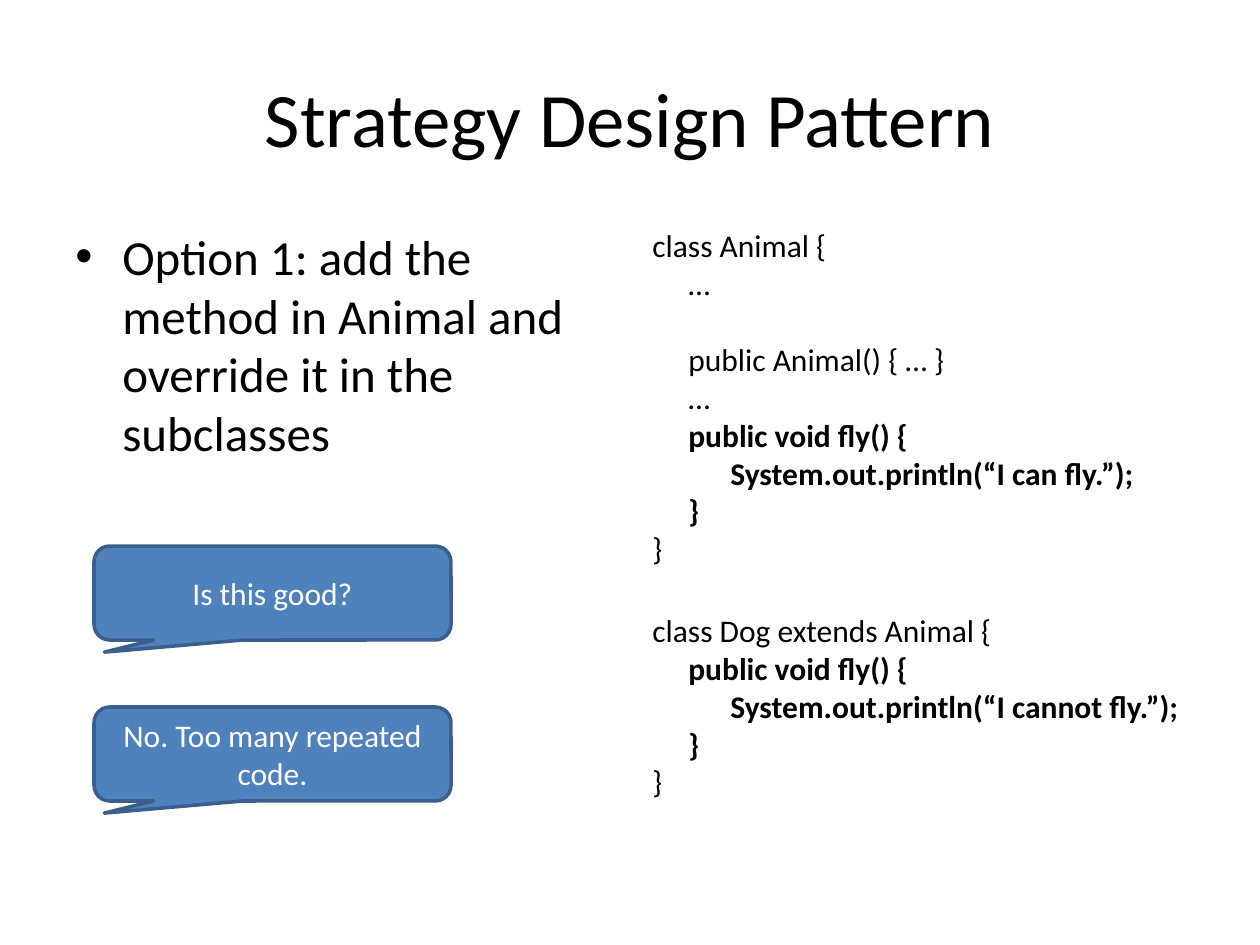
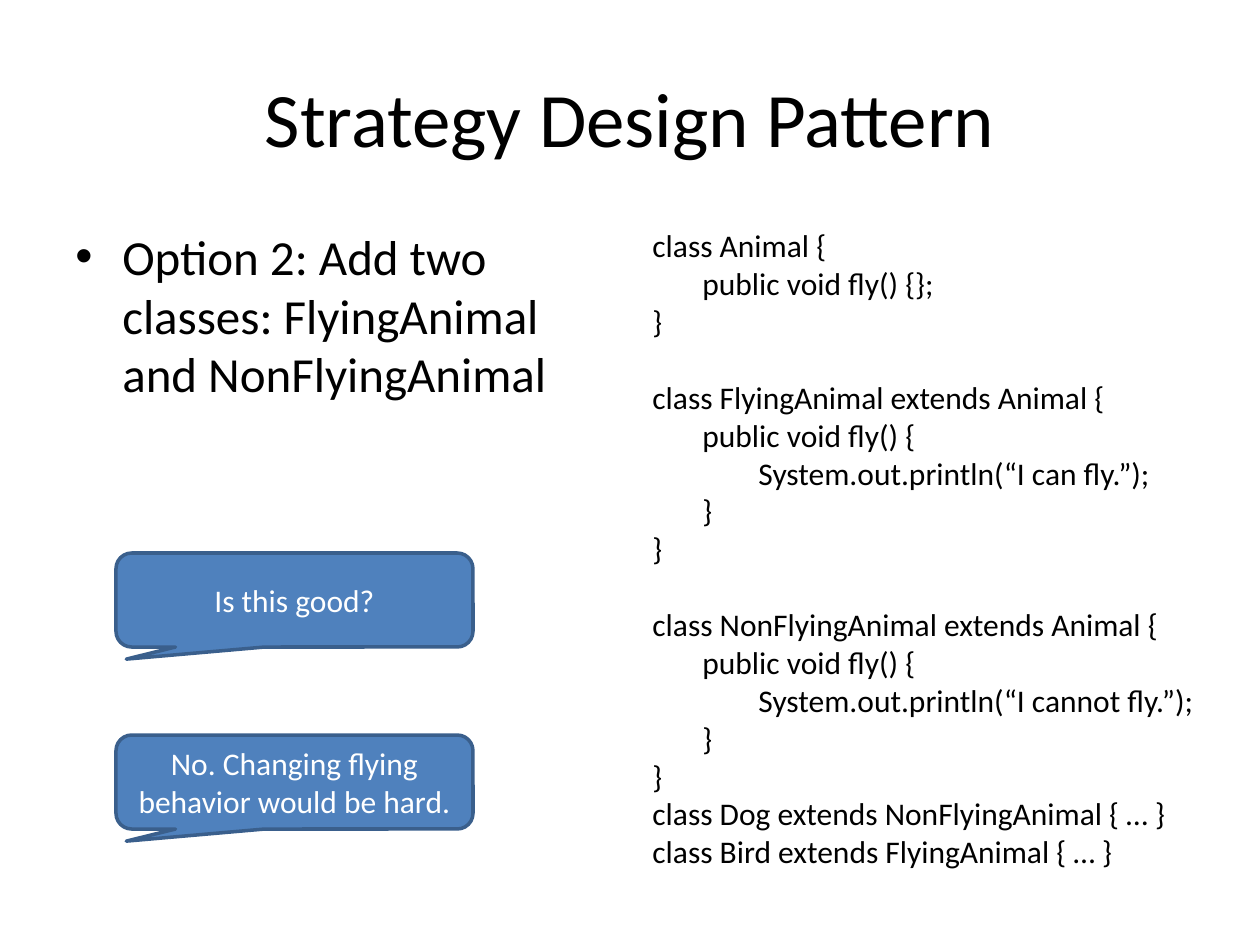
from pptx import Presentation
from pptx import util as u
from pptx.dml.color import RGBColor
from pptx.enum import shapes, text
from pptx.oxml.ns import qn
from lxml import etree

# Shared look
EMU_PER_PX = 914400 / 126
FONT = "Calibri"
BLACK, WHITE = "000000", "FFFFFF"
CALLOUT_FILL, CALLOUT_LINE = "4F81BD", "3A5F8C"
CODE_SIZE = 18
BLANK_LINE = 21.95  # height of one code line, in points
CODE_LEFT, CODE_TOP = 640, 220


def px(value):
    return u.Emu(round(value * EMU_PER_PX))


def color(hex_string):
    return RGBColor.from_string(hex_string)


def write(paragraph, content, size=CODE_SIZE, ink=BLACK, bold=False,
          align=text.PP_ALIGN.LEFT, before=0, indent=0, bullet=None):
    """Fill one paragraph; a bullet hangs to the left of the indent."""
    paragraph.alignment = align
    paragraph.space_before = u.Pt(before)
    run = paragraph.add_run()
    run.text = content
    run.font.name = FONT
    run.font.size = u.Pt(size)
    run.font.bold = bold
    run.font.color.rgb = color(ink)
    properties = paragraph._p.get_or_add_pPr()
    properties.set("marL", str(px(indent)))
    if bullet:
        properties.set("indent", str(-px(indent)))
        etree.SubElement(properties, qn("a:buFont")).set("typeface", "Arial")
        etree.SubElement(properties, qn("a:buChar")).set("char", bullet)


def text_frame(slide, left, top, width, height, anchor=text.MSO_ANCHOR.TOP):
    box = slide.shapes.add_textbox(px(left), px(top), px(width), px(height))
    frame = box.text_frame
    frame.word_wrap = True
    frame.vertical_anchor = anchor
    return frame


def add_heading(slide):
    frame = text_frame(slide, 63, 38, 1134, 157, text.MSO_ANCHOR.MIDDLE)
    write(frame.paragraphs[0], "Strategy Design Pattern", size=44,
          align=text.PP_ALIGN.CENTER)


def add_option(slide, option):
    frame = text_frame(slide, 63, 220, 557, 624)
    write(frame.paragraphs[0], option, size=28, before=5.6, indent=47,
          bullet="•")


def add_code(slide, top, width, height, indents, lines):
    """Each line is (level, code) with optional format keywords."""
    frame = text_frame(slide, CODE_LEFT, top, width, height)
    for number, (level, code, *options) in enumerate(lines):
        paragraph = frame.add_paragraph() if number else frame.paragraphs[0]
        write(paragraph, code, indent=indents[level],
              **(options[0] if options else {}))


def add_callout(slide, left, top, remark):
    callout = slide.shapes.add_shape(
        shapes.MSO_SHAPE.ROUNDED_RECTANGULAR_CALLOUT,
        px(left), px(top), px(357), px(94))
    for index, value in enumerate((-0.471, 0.629, 0.167)):
        callout.adjustments[index] = value
    callout.shadow.inherit = False
    callout.fill.solid()
    callout.fill.fore_color.rgb = color(CALLOUT_FILL)
    callout.line.color.rgb = color(CALLOUT_LINE)
    callout.line.width = u.Pt(2)
    frame = callout.text_frame
    frame.word_wrap = True
    frame.vertical_anchor = text.MSO_ANCHOR.MIDDLE
    write(frame.paragraphs[0], remark, ink=WHITE,
          align=text.PP_ALIGN.CENTER)


def fly_method(message, **style):
    return [
        (1, "public void fly() {", style),
        (2, f"System.out.println(“{message}”);", style),
        (1, "}", style),
        (0, "}"),
    ]


def add_option_slide(deck, option):
    slide = deck.slides.add_slide(deck.slide_layouts[6])
    add_heading(slide)
    add_option(slide, option)
    return slide


def build_override_slide(deck):
    slide = add_option_slide(
        deck,
        "Option 1: add the method in Animal and override it in the subclasses")
    indents = (0, 36, 78)
    add_code(slide, CODE_TOP, 518, 357, indents, [
        (0, "class Animal {"),
        (1, "…"),
        (1, "public Animal() { … }", {"before": BLANK_LINE}),
        (1, "…"),
        *fly_method("I can fly.", bold=True),
    ])
    add_code(slide, 605, 557, 204, indents, [
        (0, "class Dog extends Animal {"),
        *fly_method("I cannot fly.", bold=True),
    ])
    add_callout(slide, 94, 546, "Is this good?")
    add_callout(slide, 94, 707, "No. Too many repeated code.")


def build_subclass_slide(deck):
    slide = add_option_slide(
        deck, "Option 2: Add two classes: FlyingAnimal and NonFlyingAnimal")
    new_class = {"before": BLANK_LINE}
    add_code(slide, CODE_TOP, 575, 662, (0, 50, 106), [
        (0, "class Animal {"),
        (1, "public void fly() {};"),
        (0, "}"),
        (0, "class FlyingAnimal extends Animal {", new_class),
        *fly_method("I can fly."),
        (0, "class NonFlyingAnimal extends Animal {", new_class),
        *fly_method("I cannot fly."),
        (0, "class Dog extends NonFlyingAnimal { … }"),
        (0, "class Bird extends FlyingAnimal { … }"),
    ])
    add_callout(slide, 116, 553, "Is this good?")
    add_callout(slide, 116, 735, "No. Changing flying behavior would be hard.")


def main():
    deck = Presentation()
    deck.slide_width, deck.slide_height = px(1260), px(945)
    build_override_slide(deck)
    build_subclass_slide(deck)
    deck.save("out.pptx")


main()
